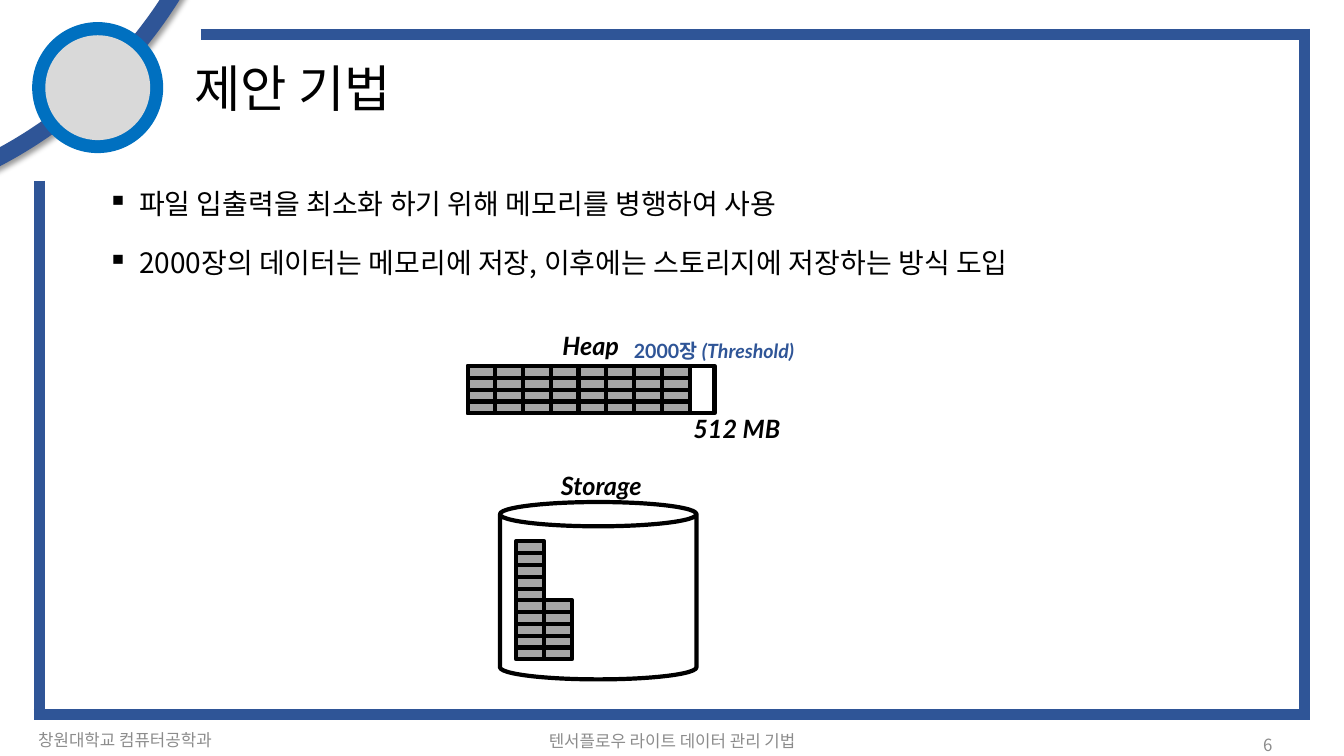
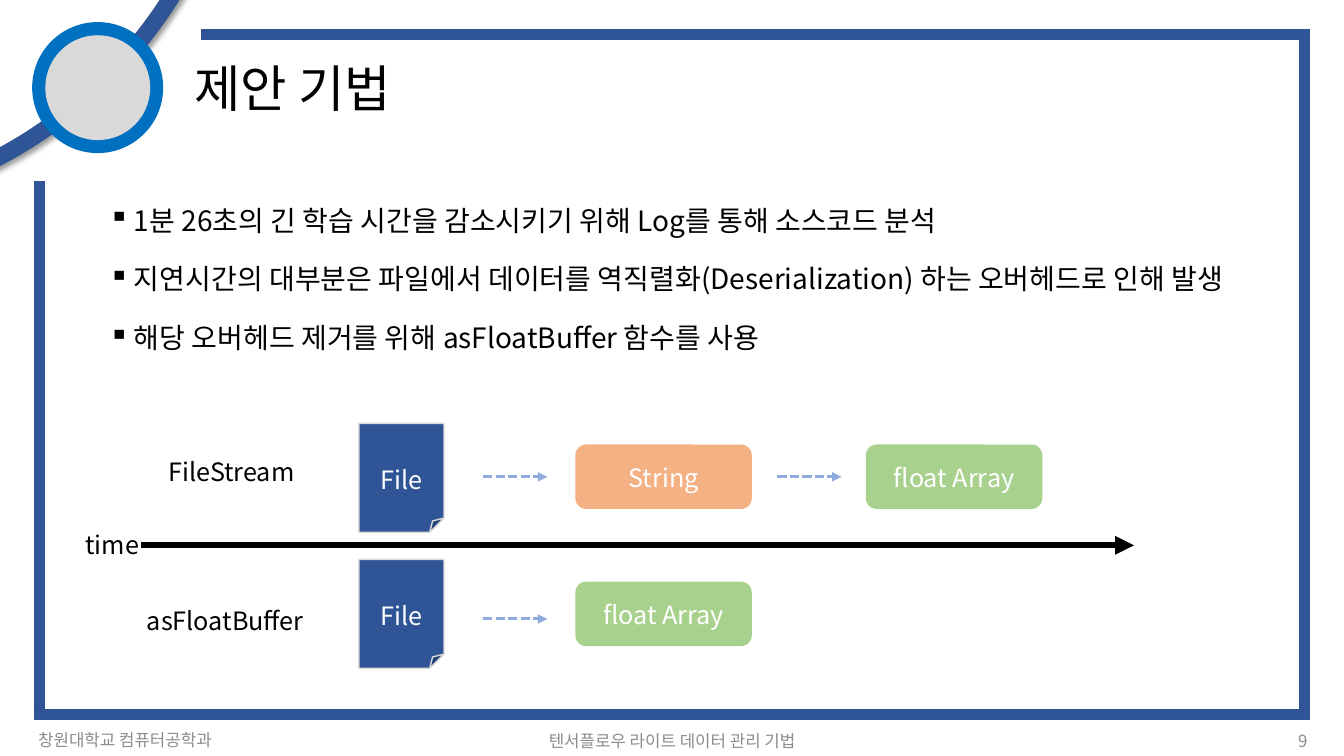
from dataclasses import dataclass

from lxml import etree
from pptx import Presentation
from pptx.dml.color import RGBColor
from pptx.enum.dml import MSO_LINE
from pptx.enum.shapes import MSO_CONNECTOR, MSO_SHAPE
from pptx.enum.text import MSO_ANCHOR, PP_ALIGN
from pptx.oxml.ns import qn
from pptx.util import Pt

LEFT, CENTER, RIGHT = PP_ALIGN.LEFT, PP_ALIGN.CENTER, PP_ALIGN.RIGHT
TOP, MIDDLE = MSO_ANCHOR.TOP, MSO_ANCHOR.MIDDLE
OVAL, RECTANGLE, CAN = MSO_SHAPE.OVAL, MSO_SHAPE.RECTANGLE, MSO_SHAPE.CAN
ROUNDED, FOLDED = MSO_SHAPE.ROUNDED_RECTANGLE, MSO_SHAPE.FOLDED_CORNER
STRAIGHT = MSO_CONNECTOR.STRAIGHT
DASH = MSO_LINE.SQUARE_DOT


@dataclass(frozen=True)
class Theme:
    navy: str = "2F5597"
    blue: str = "0070C0"
    light_blue: str = "8FAADC"
    orange: str = "F4B183"
    green: str = "A9D18E"
    black: str = "000000"
    white: str = "FFFFFF"
    cell_gray: str = "A6A6A6"
    disc_gray: str = "D9D9D9"
    footer_gray: str = "8C8C8C"
    body_font: str = "Noto Sans CJK KR"
    label_font: str = "Lato"
    title_size: int = 36
    bullet_size: int = 20
    label_size: int = 18
    note_size: int = 14
    footer_size: int = 12


THEME = Theme()
CELL_WIDTH, CELL_HEIGHT = 20.2, 8.6
COLUMN_PITCH, ROW_PITCH = 19.8, 8.4


def color(value):
    return RGBColor.from_string(value)


def add_run(paragraph, text, size=THEME.label_size, font=THEME.body_font,
            text_color=THEME.black, bold=False, italic=False):
    run = paragraph.add_run()
    run.text = text
    run.font.size = Pt(size)
    run.font.bold = bold
    run.font.italic = italic
    run.font.color.rgb = color(text_color)
    run.font.name = font
    east_asian = etree.SubElement(run.font._element, qn("a:ea"))
    east_asian.set("typeface", THEME.body_font)


def write(shape, *lines, align=LEFT, anchor=TOP, spacing=1.25, bullet_indent=0,
          size=THEME.label_size, **run_format):
    """Write one paragraph per line; spacing is a multiple of the type size."""
    frame = shape.text_frame
    frame.word_wrap = True
    frame.vertical_anchor = anchor
    for index, line in enumerate(lines):
        paragraph = frame.add_paragraph() if index else frame.paragraphs[0]
        paragraph.alignment = align
        paragraph.line_spacing = Pt(size * spacing)
        if index:
            paragraph.space_before = Pt(6)
        if bullet_indent:
            properties = paragraph._p.get_or_add_pPr()
            properties.set("marL", str(Pt(bullet_indent)))
            properties.set("indent", str(-Pt(bullet_indent)))
            etree.SubElement(properties, qn("a:buChar")).set("char", "▪")
        add_run(paragraph, line, size=size, **run_format)
    return frame.paragraphs[0]


def add_text(slide, left, top, width, height, *lines, **text_format):
    box = slide.shapes.add_textbox(Pt(left), Pt(top), Pt(width), Pt(height))
    return write(box, *lines, **text_format)


def add_shape(slide, kind, left, top, width, height, fill=None, line=None, weight=1):
    shape = slide.shapes.add_shape(kind, Pt(left), Pt(top), Pt(width), Pt(height))
    shape.shadow.inherit = False
    if fill:
        shape.fill.solid()
        shape.fill.fore_color.rgb = color(fill)
    else:
        shape.fill.background()
    if line:
        shape.line.color.rgb = color(line)
        shape.line.width = Pt(weight)
    else:
        shape.line.fill.background()
    return shape


def add_line(slide, start, end, line, weight, dash=None, arrow=False):
    connector = slide.shapes.add_connector(
        STRAIGHT, Pt(start[0]), Pt(start[1]), Pt(end[0]), Pt(end[1]))
    connector.line.color.rgb = color(line)
    connector.line.width = Pt(weight)
    if dash:
        connector.line.dash_style = dash
    if arrow:
        outline = connector.line._get_or_add_ln()
        etree.SubElement(outline, qn("a:tailEnd")).set("type", "triangle")
    etree.SubElement(connector._element.spPr, qn("a:effectLst"))


def add_shadow(shape):
    effects = shape._element.spPr.find(qn("a:effectLst"))
    shadow = etree.SubElement(effects, qn("a:outerShdw"), blurRad=str(Pt(4)),
                              dist=str(Pt(3)), dir="2700000", algn="tl", rotWithShape="0")
    shade = etree.SubElement(shadow, qn("a:srgbClr"), val=THEME.black)
    etree.SubElement(shade, qn("a:alpha"), val="40000")


def add_border(slide):
    left, right, top, bottom, half = 28, 931.7, 24.5, 510.5, 4
    for start, end in (
        ((left, 129), (left, bottom)),
        ((left - half, bottom), (right, bottom)),
        ((right, top - half), (right, bottom + half)),
        ((143.3, top), (right + half, top)),
    ):
        add_line(slide, start, end, THEME.navy, 2 * half)


def add_page(presentation, title, number, number_left, number_top):
    """Add a blank slide with the shared arc, border, title, discs and footer."""
    slide = presentation.slides.add_slide(presentation.slide_layouts[6])
    add_shadow(add_shape(slide, OVAL, -481, -503.3, 653.8, 653.8,
                         line=THEME.navy, weight=12))
    add_border(slide)
    add_shape(slide, OVAL, 23, 15.8, 93.6, 93.6, fill=THEME.blue)
    add_shape(slide, OVAL, 32.4, 25.2, 74.9, 74.9, fill=THEME.disc_gray)
    add_text(slide, 131.8, 35.3, 220, 51, title, size=THEME.title_size)
    for left, top, width, text, align in (
        (20.2, 514, 216, "창원대학교 컴퓨터공학과", LEFT),
        (318.2, 514.8, 324, "텐서플로우 라이트 데이터 관리 기법", CENTER),
        (number_left, number_top, 216, number, RIGHT),
    ):
        add_text(slide, left, top, width, 28.8, text, align=align, anchor=MIDDLE,
                 size=THEME.footer_size, text_color=THEME.footer_gray)
    return slide


def add_bullets(slide, left, top, width, height, indent, *lines):
    add_text(slide, left, top, width, height, *lines, bullet_indent=indent,
             size=THEME.bullet_size, spacing=1.8)


def add_cells(slide, left, bottom, column_heights):
    """Stack data cells upward from bottom, one column per height."""
    for column, height in enumerate(column_heights):
        for row in range(height):
            add_shape(slide, RECTANGLE, left + column * COLUMN_PITCH,
                      bottom - CELL_HEIGHT - row * ROW_PITCH, CELL_WIDTH, CELL_HEIGHT,
                      fill=THEME.cell_gray, line=THEME.black, weight=3)


def add_memory_label(slide, left, top, width, text, **text_format):
    add_text(slide, left, top, width, 28.8, text, font=THEME.label_font,
             bold=True, italic=True, **text_format)


def add_file(slide, top):
    page = add_shape(slide, FOLDED, 256.3, top, 60.8, 77.8,
                     fill=THEME.navy, line=THEME.disc_gray)
    write(page, "File", align=CENTER, anchor=MIDDLE, spacing=1.9, text_color=THEME.white)


def add_step(slide, left, top, text, fill):
    step = add_shape(slide, ROUNDED, left, top, 126, 46, fill=fill)
    write(step, text, align=CENTER, anchor=MIDDLE, text_color=THEME.white)


def add_step_arrow(slide, left, top):
    add_line(slide, (left, top), (left + 46, top), THEME.light_blue, 2.25,
             dash=DASH, arrow=True)


def build_memory_slide(presentation):
    slide = add_page(presentation, "제안 기법", "6", 700, 517)
    add_bullets(slide, 69.8, 118, 739.4, 82.8, 22.5,
                "파일 입출력을 최소화 하기 위해 메모리를 병행하여 사용",
                "2000장의 데이터는 메모리에 저장, 이후에는 스토리지에 저장하는 방식 도입")

    add_shape(slide, RECTANGLE, 334, 261.4, 176.4, 33.8, line=THEME.black, weight=3)
    add_cells(slide, 334, 295.2, [4] * 8)
    add_memory_label(slide, 394.6, 231.8, 103, "Heap")
    add_memory_label(slide, 488.2, 290.9, 103, "512 MB")
    threshold_format = dict(size=THEME.note_size, font=THEME.label_font,
                            text_color=THEME.navy, bold=True)
    threshold = add_text(slide, 445.7, 237.6, 183, 24.5, "2000장 ", **threshold_format)
    add_run(threshold, "(Threshold)", italic=True, **threshold_format)

    storage = add_shape(slide, CAN, 357.1, 358.6, 140.4, 126.7,
                        line=THEME.black, weight=3)
    storage.adjustments[0] = 0.137
    add_cells(slide, 368.6, 470.9, [10, 5])
    add_memory_label(slide, 359.3, 331.2, 140.4, "Storage", align=CENTER)


def build_timeline_slide(presentation):
    slide = add_page(presentation, "제안 기법", "9", 725, 514.8)
    add_bullets(slide, 70.6, 129.6, 815, 172, 18,
                "1분 26초의 긴 학습 시간을 감소시키기 위해 Log를 통해 소스코드 분석",
                "지연시간의 대부분은 파일에서 데이터를 역직렬화(Deserialization) 하는 "
                "오버헤드로 인해 발생",
                "해당 오버헤드 제거를 위해 asFloatBuffer 함수를 사용")

    add_text(slide, 54, 373.7, 62, 28.8, "time")
    add_line(slide, (100.8, 389.5), (810, 389.5), THEME.black, 4.5, arrow=True)

    add_text(slide, 95, 321.8, 141, 28.8, "FileStream", align=CENTER)
    add_file(slide, 302.4)
    add_step_arrow(slide, 345, 340.6)
    add_step(slide, 411, 317.5, "String", THEME.orange)
    add_step_arrow(slide, 555.1, 340.6)
    add_step(slide, 618.5, 317.5, "float Array", THEME.green)

    add_text(slide, 97.9, 427.7, 150, 28.8, "asFloatBuffer")
    add_file(slide, 399.6)
    add_step_arrow(slide, 345, 442.1)
    add_step(slide, 411, 415.5, "float Array", THEME.green)


def main():
    presentation = Presentation()
    presentation.slide_width = Pt(960)
    presentation.slide_height = Pt(540)
    build_memory_slide(presentation)
    build_timeline_slide(presentation)
    presentation.save("out.pptx")


if __name__ == "__main__":
    main()
